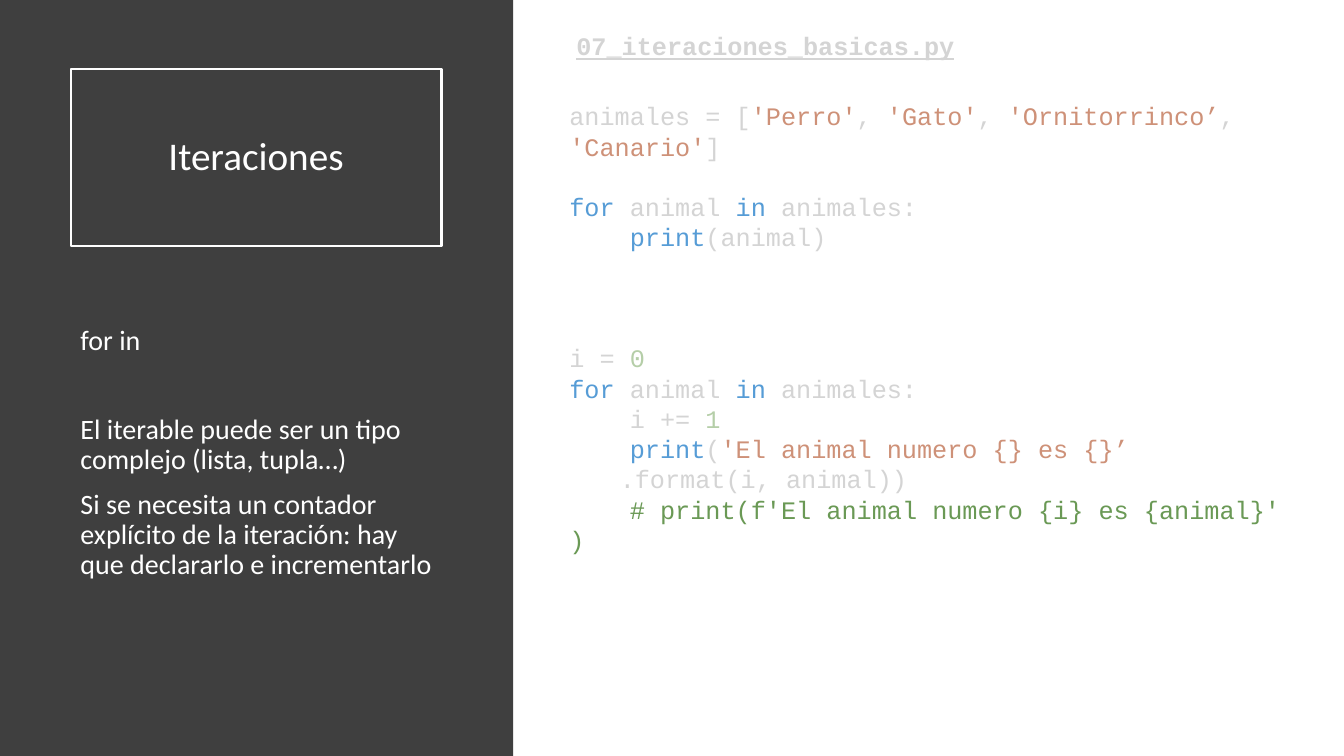
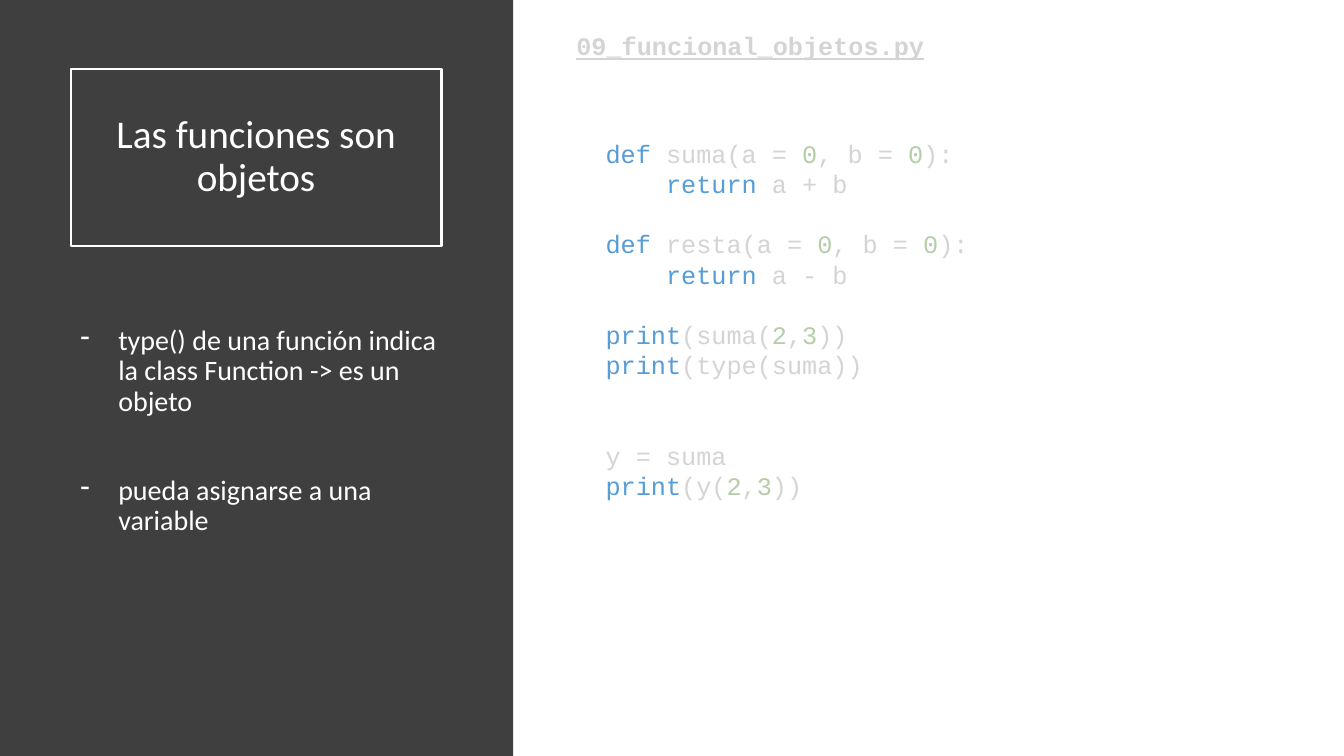
from lxml.etree import SubElement
from pptx import Presentation
from pptx.dml.color import RGBColor
from pptx.enum.shapes import MSO_SHAPE
from pptx.enum.text import MSO_ANCHOR, PP_ALIGN
from pptx.oxml.ns import qn
from pptx.util import Pt

HUES = {
    "band": "3F3F3F",
    "white": "FFFFFF",
    "plain": "D4D4D4",
    "key": "569CD6",
    "text": "CE9178",
    "num": "B5CEA8",
    "note": "6A9955",
}
SANS, MONO = "Calibri", "Courier New"
LEFT = 50.4
PITCH = 21.6
LOOP = [("key", "for"), ("plain", " animal "), ("key", "in"), ("plain", " animales:")]


def hue(name):
    """Return the colour with this name."""
    return RGBColor.from_string(HUES[name])


def style(font, face, size, tone):
    """Set face, size and colour of a font."""
    font.name, font.size = face, Pt(size)
    font.color.rgb = hue(tone)


def add_box(slide, area):
    """Add a wrapping text box and return its frame."""
    frame = slide.shapes.add_textbox(*map(Pt, area)).text_frame
    frame.word_wrap = True
    return frame


def next_para(frame, index):
    """Return the first paragraph, or a new one after it."""
    return frame.add_paragraph() if index else frame.paragraphs[0]


def add_dash(para):
    """Give a paragraph a dash bullet with a hanging indent."""
    props = para._p.get_or_add_pPr()
    props.set("marL", str(Pt(27)))
    props.set("indent", str(Pt(-27)))
    SubElement(props, qn("a:buChar")).set("char", "-")


def add_title(slide, text):
    """Draw the side band and the framed title on it."""
    title = slide.shapes.title
    band = slide.shapes.add_shape(MSO_SHAPE.RECTANGLE, 0, 0, Pt(366.5), Pt(540))
    band.shadow.inherit = False
    band.fill.solid()
    band.fill.fore_color.rgb = hue("band")
    band.line.fill.background()
    title._element.addprevious(band._element)
    title.left, title.top, title.width, title.height = map(Pt, (LEFT, 49, 265, 126.7))
    title.line.color.rgb = hue("white")
    title.line.width = Pt(1.5)
    frame = title.text_frame
    frame.text = text
    frame.vertical_anchor = MSO_ANCHOR.MIDDLE
    para = frame.paragraphs[0]
    para.alignment, para.line_spacing = PP_ALIGN.CENTER, 0.9
    style(para.runs[0].font, SANS, 28, "white")


def add_notes(slide, items, dash=False):
    """Write the side text from pairs of space before and text."""
    frame = add_box(slide, (LEFT, 229.7, 275.8, 237.6))
    for index, (gap, text) in enumerate(items):
        para = next_para(frame, index)
        para.text = text
        if dash:
            add_dash(para)
        para.line_spacing, para.space_before = 0.9, Pt(gap)
        style(para.runs[0].font, SANS, 20, "white")


def add_code(slide, area, lines):
    """Write coloured code from pairs of skipped lines and parts."""
    frame = add_box(slide, area)
    for index, (skip, parts) in enumerate(lines):
        para = next_para(frame, index)
        para.line_spacing, para.space_before = Pt(PITCH), Pt(skip * PITCH)
        for tone, text in parts:
            run = para.add_run()
            run.text = text.replace(" ", chr(160)) if tone == "note" else text
            style(run.font, MONO, 18, tone)
    return frame


def add_file(slide, name):
    """Write the name of the code file."""
    frame = add_code(slide, (404.6, 18, 511.2, 29), [(0, [("plain", name)])])
    font = frame.paragraphs[0].runs[0].font
    font.bold = font.underline = True


def func(skip, name, sign):
    """Return the lines of a function of two numbers."""
    head = [("key", "def"), ("plain", f" {name}(a = "), ("num", "0"),
            ("plain", ", b = "), ("num", "0"), ("plain", "):")]
    body = [("plain", "    "), ("key", "return"), ("plain", f" a {sign} b")]
    return [(skip, head), (0, body)]


def show(name):
    """Return the parts of a line that prints a call."""
    return [("key", "print"), ("plain", f"({name}("), ("num", "2"),
            ("plain", ","), ("num", "3"), ("plain", "))")]


def add_loops(slide):
    """Fill the slide on iterations."""
    add_title(slide, "Iteraciones")
    add_notes(slide, [
        (0, "for in"),
        (42, "El iterable puede ser un tipo complejo (lista, tupla…)"),
        (10, "Si se necesita un contador explícito de la iteración: "
             "hay que declararlo e incrementarlo"),
    ])
    add_file(slide, "07_iteraciones_basicas.py")
    add_code(slide, (399.6, 68.4, 531.4, 312.5), [
        (0, [("plain", "animales = ["), ("text", "'Perro'"), ("plain", ", "),
             ("text", "'Gato'"), ("plain", ", "), ("text", "'Ornitorrinco’"),
             ("plain", ", "), ("text", "'Canario'"), ("plain", "]")]),
        (1, LOOP),
        (0, [("plain", "    "), ("key", "print"), ("plain", "(animal)")]),
        (3, [("plain", "i = "), ("num", "0")]),
        (0, LOOP),
        (0, [("plain", "    i += "), ("num", "1")]),
        (0, [("plain", "    "), ("key", "print"), ("plain", "("),
             ("text", "'El animal numero {} es {}’")]),
        (0, [("plain", "\t.format(i, animal))")]),
        (0, [("note", "    # print(f'El animal numero {i} es {animal}')")]),
    ])


def add_funcs(slide):
    """Fill the slide on functions as objects."""
    add_title(slide, "Las funciones son objetos")
    add_notes(slide, [
        (0, "type() de una función indica la class Function -> es un objeto"),
        (42, "pueda asignarse a una variable"),
    ], dash=True)
    add_file(slide, "09_funcional_objetos.py")
    add_code(slide, (425.5, 95, 283, 269.3), [
        *func(0, "suma", "+"),
        *func(1, "resta", "-"),
        (1, show("suma")),
        (0, [("key", "print"), ("plain", "(type(suma))")]),
        (2, [("plain", "y = suma")]),
        (0, show("y")),
    ])


def main():
    """Build and save the slides."""
    deck = Presentation()
    deck.slide_width, deck.slide_height = Pt(960), Pt(540)
    for fill in (add_loops, add_funcs):
        fill(deck.slides.add_slide(deck.slide_layouts[5]))
    deck.save("out.pptx")


if __name__ == "__main__":
    main()
